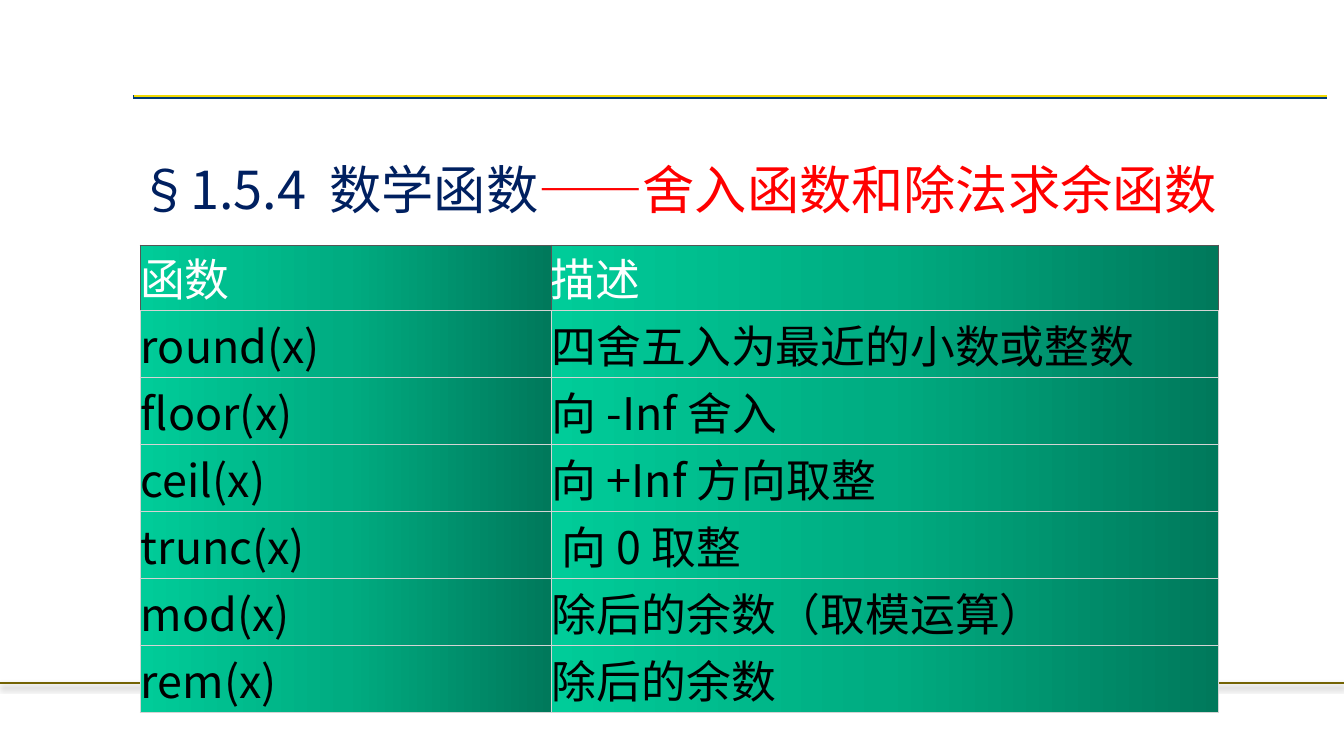
"""Build a slide that lists rounding and remainder functions in a table."""
from typing import NamedTuple

from pptx import Presentation
from pptx.dml.color import RGBColor as Rgb
from pptx.enum.shapes import MSO_CONNECTOR as Conn
from pptx.enum.text import MSO_ANCHOR as Anchor
from pptx.oxml import parse_xml as to_xml
from pptx.oxml.ns import nsdecls
from pptx.util import Pt

SCALE = 914400 / 134.4
FONT = "Noto Sans CJK SC"
NS = nsdecls("a")
HUES = {
    "navy": "003B76", "gold": "F0DA04", "olive": "736303",
    "dark": "00795B", "mid": "00AC81", "light": "00CC99",
    "edge": "555555", "grid": "D4D4D4", "title": "002060",
    "red": "FF0000", "white": "FFFFFF", "black": "000000",
}
SHADOW = (
    '<a:outerShdw blurRad="39370" dist="22860" dir="5400000" rotWithShape="0">'
    f'<a:srgbClr val="{HUES["black"]}"><a:alpha val="35000"/></a:srgbClr></a:outerShdw>'
)


class Rule(NamedTuple):
    left: int
    right: int
    top: int
    hue: str
    width: float
    shadow: bool = False


class Entry(NamedTuple):
    name: str
    note: str


RULES = [
    Rule(133, 1327, 97, "navy", 2.25),
    Rule(134, 1327, 96, "gold", 1),
    Rule(0, 1344, 683, "olive", 1.5, shadow=True),
]
HEAD = Entry("函数", "描述")
BODY = [
    Entry("round(x)", "四舍五入为最近的小数或整数"),
    Entry("floor(x)", "向 -Inf 舍入"),
    Entry("ceil(x)", "向 +Inf 方向取整"),
    Entry("trunc(x)", " 向 0 取整"),
    Entry("mod(x)", "除后的余数（取模运算）"),
    Entry("rem(x)", "除后的余数"),
]
COLS = (411, 668)


def px(count: int) -> int:
    return round(count * SCALE)


def write(para, text: str, *, size: int, hue: str) -> None:
    run = para.add_run()
    run.text = text
    run.font.size = Pt(size)
    run.font.name = FONT
    run.font.color.rgb = Rgb.from_string(HUES[hue])
    run._r.get_or_add_rPr().append(to_xml(f'<a:ea {NS} typeface="{FONT}"/>'))


def draw_rule(slide, rule: Rule) -> None:
    line = slide.shapes.add_connector(
        Conn.STRAIGHT, px(rule.left), px(rule.top), px(rule.right), px(rule.top))
    line.line.color.rgb = Rgb.from_string(HUES[rule.hue])
    line.line.width = Pt(rule.width)
    effect = SHADOW if rule.shadow else ""
    line._element.spPr.append(to_xml(f"<a:effectLst {NS}>{effect}</a:effectLst>"))


def style_cell(cell, edges: dict[str, str]) -> None:
    props = cell._tc.get_or_add_tcPr()
    for side, hue in edges.items():
        props.append(to_xml(
            f'<a:ln{side} {NS} w="7620"><a:solidFill><a:srgbClr val="{HUES[hue]}"/>'
            f"</a:solidFill></a:ln{side}>"))
    stops = "".join(
        f'<a:gs pos="{pos}"><a:srgbClr val="{HUES[hue]}"/></a:gs>'
        for pos, hue in ((0, "dark"), (50000, "mid"), (100000, "light")))
    props.append(to_xml(
        f'<a:gradFill {NS} rotWithShape="1"><a:gsLst>{stops}</a:gsLst>'
        '<a:lin ang="10800000" scaled="0"/></a:gradFill>'))


def draw_table(slide) -> None:
    rows = [HEAD, *BODY]
    frame = slide.shapes.add_table(
        len(rows), len(COLS), px(140), px(245), px(sum(COLS)), px(66 + 67 * len(BODY)))
    table = frame.table
    table.first_row = table.horz_banding = False
    for col, width in zip(table.columns, COLS):
        col.width = px(width)
    for row, entry in enumerate(rows):
        first = row == 0
        table.rows[row].height = px(66 if first else 67)
        edge = "edge" if first else "grid"
        edges = {"L": edge, "R": edge, "T": edge, "B": "grid"}
        inset = px(0 if first else 1)
        for col, text in enumerate(entry):
            cell = table.cell(row, col)
            cell.margin_left = cell.margin_right = inset
            cell.margin_top = cell.margin_bottom = inset
            style_cell(cell, edges)
            write(cell.text_frame.paragraphs[0], text, size=24,
                  hue="white" if first else "black")


def draw_title(slide) -> None:
    frame = slide.shapes.add_textbox(px(125), px(149), px(1128), px(78)).text_frame
    frame.word_wrap = False
    frame.vertical_anchor = Anchor.BOTTOM
    para = frame.paragraphs[0]
    para.line_spacing = 0.85
    write(para, "§1.5.4  数学函数", size=28, hue="title")
    write(para, "——舍入函数和除法求余函数", size=28, hue="red")


def main() -> None:
    deck = Presentation()
    deck.slide_width, deck.slide_height = px(1344), px(756)
    slide = deck.slides.add_slide(deck.slide_layouts[6])
    for rule in RULES:
        draw_rule(slide, rule)
    draw_table(slide)
    draw_title(slide)
    deck.save("out.pptx")


if __name__ == "__main__":
    main()
